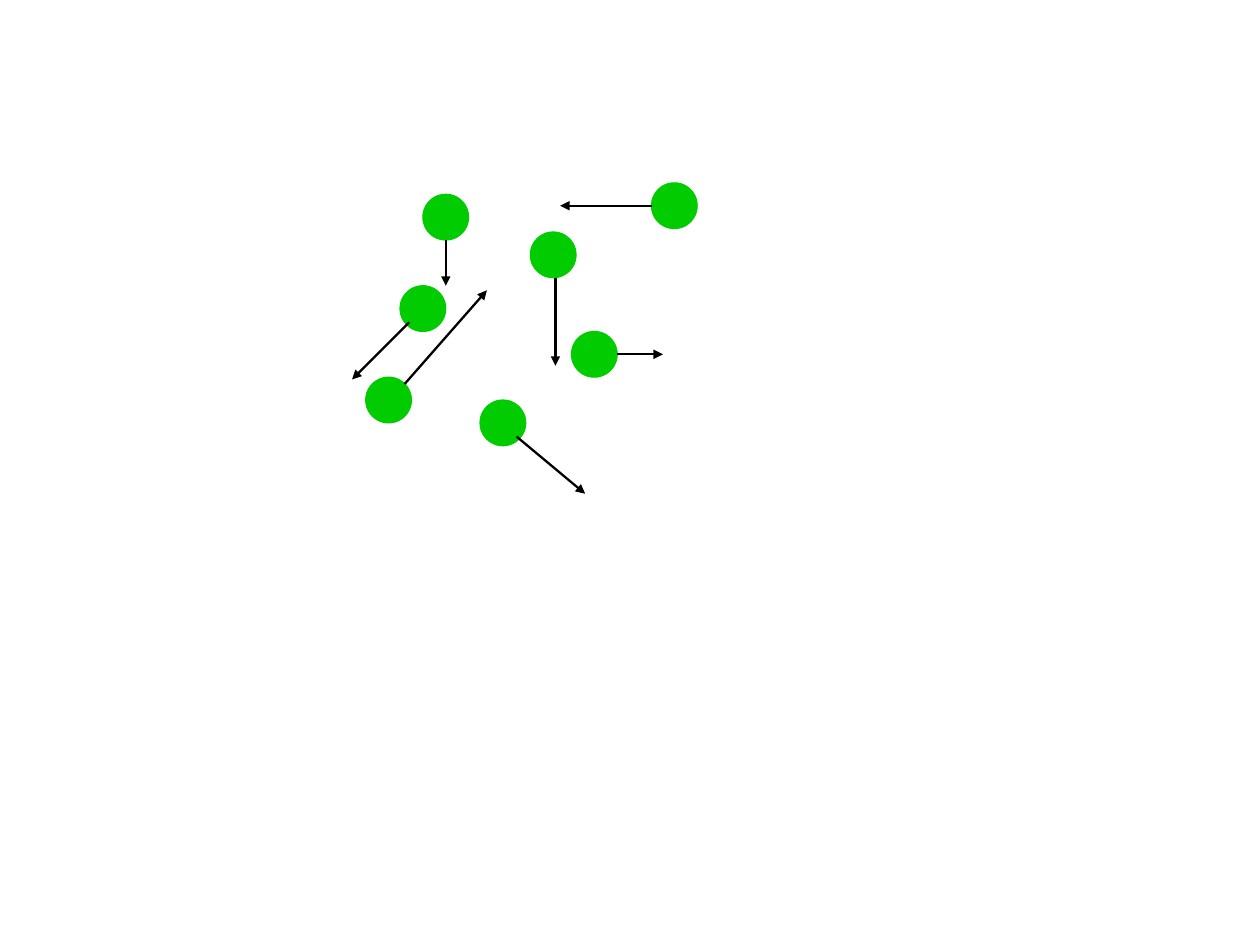
from pptx import Presentation
from pptx.dml.color import RGBColor
from pptx.enum.shapes import MSO_CONNECTOR, MSO_SHAPE
from pptx.oxml.ns import qn
from pptx.util import Cm, Pt
from lxml.etree import SubElement

EMU_PER_PX = 9144
GAS_BOX = (300, 150)
DIAMETER = 40
GREEN = "00CC00"
BLACK = "000000"
WHITE = "FFFFFF"

CORNERS_STARTS_TIPS = [
    ((50, 100), (58, 132), (8, 182)),
    ((164, 53), (186, 93), (186, 170)),
    ((120, 200), (152, 232), (212, 282)),
    ((70, 20), (90, 60), (90, 100)),
    ((200, 140), (240, 160), (280, 160)),
    ((20, 180), (54, 186), (126, 104)),
    ((270, 10), (270, 30), (190, 30)),
]


def px(length):
    """Turn a length in px into EMU."""
    return length * EMU_PER_PX


def paint(fill, color):
    """Set a fill to a solid hex colour."""
    fill.solid()
    fill.fore_color.rgb = RGBColor.from_string(color)


def add_particle(slide, left, top):
    """Draw one round particle with its top-left corner at the given point."""
    shape = slide.shapes.add_shape(
        MSO_SHAPE.OVAL, px(left), px(top), px(DIAMETER), px(DIAMETER)
    )
    shape.shadow.inherit = False
    paint(shape.fill, GREEN)
    paint(shape.line.fill, GREEN)
    shape.line.width = Pt(0)


def add_velocity(slide, start, tip):
    """Draw an arrow from start to tip."""
    connector = slide.shapes.add_connector(
        MSO_CONNECTOR.STRAIGHT, *map(px, start), *map(px, tip)
    )
    paint(connector.line.fill, BLACK)
    connector.line.width = Pt(1.45)
    properties = connector._element.spPr
    SubElement(properties.find(qn("a:ln")), qn("a:tailEnd"), type="triangle")
    SubElement(properties, qn("a:effectLst"))


def add_gas(slide, left, top):
    """Draw the moving particles in the box at the given corner."""
    placed = [
        [(left + x, top + y) for x, y in points]
        for points in CORNERS_STARTS_TIPS
    ]
    for corner, _, _ in placed:
        add_particle(slide, *corner)
    for _, start, tip in placed:
        add_velocity(slide, start, tip)


def main():
    """Build the slide and save it."""
    presentation = Presentation()
    presentation.slide_width = Cm(28)
    presentation.slide_height = Cm(21)
    slide = presentation.slides.add_slide(presentation.slide_layouts[6])
    paint(slide.background.fill, WHITE)
    add_gas(slide, *GAS_BOX)
    presentation.save("out.pptx")


if __name__ == "__main__":
    main()
